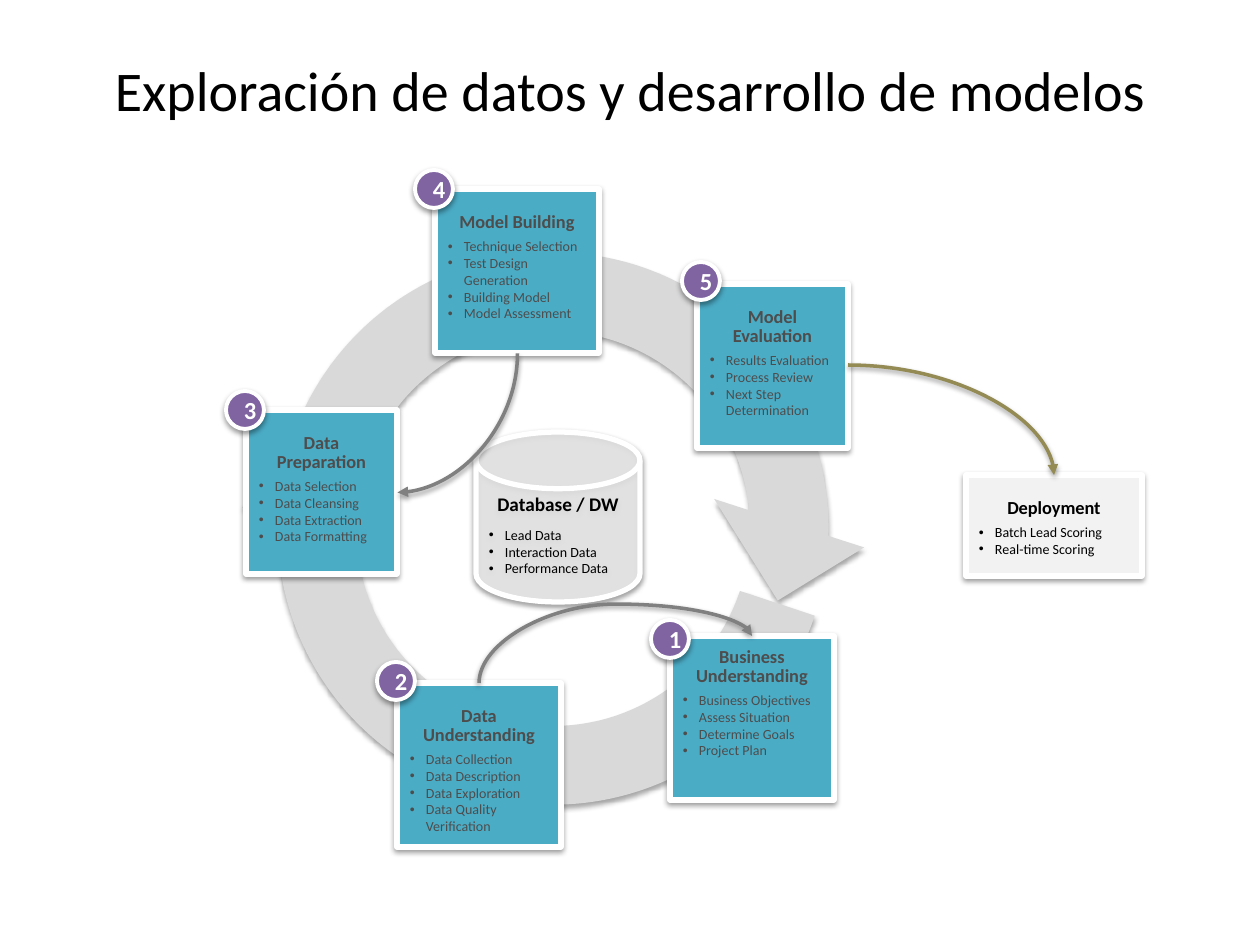
from dataclasses import dataclass

from lxml.etree import SubElement
from pptx import Presentation
from pptx.dml.color import RGBColor
from pptx.enum.shapes import MSO_CONNECTOR as Link, MSO_SHAPE as Shape
from pptx.enum.text import MSO_ANCHOR as Anchor, PP_ALIGN as Align
from pptx.oxml.ns import qn
from pptx.util import Emu, Pt

EMU_PER_PX = 914400 / 126


def px(length):
    return Emu(round(length * EMU_PER_PX))


@dataclass(frozen=True)
class Theme:
    font: str = "Calibri"
    ink: str = "000000"
    white: str = "FFFFFF"
    card: str = "4BACC6"
    card_ink: str = "4D4D4D"
    pale: str = "F2F2F2"
    ring: str = "D9D9D9"
    badge: str = "8064A2"
    link: str = "808080"
    deploy_link: str = "948A54"
    title_size: float = 32
    badge_size: float = 14
    store_size: float = 11
    head_size: float = 10.5
    item_size: float = 8
    border: float = 3
    badge_border: float = 2.25
    link_width: float = 2


class CyclePage:
    def __init__(self, page, theme):
        self.page = page
        self.theme = theme

    def add_shadow(self, shape, alpha=38, distance=1.6):
        properties = shape._element.spPr
        effects = properties.find(qn("a:effectLst"))
        if effects is None:
            effects = SubElement(properties, qn("a:effectLst"))
        shadow = SubElement(effects, qn("a:outerShdw"), blurRad=str(Pt(3.1)),
                            dist=str(Pt(distance)), dir="5400000", rotWithShape="0")
        color = SubElement(shadow, qn("a:srgbClr"), val=self.theme.ink)
        SubElement(color, qn("a:alpha"), val=str(alpha * 1000))

    def shape(self, kind, area, fill, border=None, **shadow):
        box = self.page.shapes.add_shape(kind, *map(px, area))
        box.shadow.inherit = False
        box.fill.solid()
        box.fill.fore_color.rgb = RGBColor.from_string(fill)
        if border:
            box.line.color.rgb = RGBColor.from_string(self.theme.white)
            box.line.width = Pt(border)
        else:
            box.line.fill.background()
        self.add_shadow(box, **shadow)
        return box

    def add_text(self, para, text, size, color, bold=False, **format_values):
        for name, value in format_values.items():
            setattr(para, name, value)
        span = para.add_run()
        span.text = text
        values = {"name": self.theme.font, "size": Pt(size), "bold": bold}
        for name, value in values.items():
            setattr(span.font, name, value)
        span.font.color.rgb = RGBColor.from_string(color)

    def frame(self, box, anchor, **margins):
        frame = box.text_frame
        frame.word_wrap = True
        frame.vertical_anchor = anchor
        for side, length in margins.items():
            setattr(frame, f"margin_{side}", px(length))
        return frame

    def title(self, text, area):
        box = self.page.shapes.add_textbox(*map(px, area))
        frame = self.frame(box, Anchor.MIDDLE)
        self.add_text(frame.paragraphs[0], text, self.theme.title_size,
                      self.theme.ink, alignment=Align.CENTER)

    def bullets(self, frame, items, color):
        for item in items:
            para = frame.add_paragraph()
            settings = para._p.get_or_add_pPr()
            settings.set("marL", str(px(16)))
            settings.set("indent", str(px(-16)))
            SubElement(settings, qn("a:buFont"), typeface="Arial")
            SubElement(settings, qn("a:buChar"), char="•")
            self.add_text(para, item, self.theme.item_size, color, alignment=Align.LEFT)

    def card(self, heading, items, area, fill, color, top=25):
        box = self.shape(Shape.RECTANGLE, area, fill, self.theme.border)
        frame = self.frame(box, Anchor.TOP, left=13, top=top, right=13, bottom=6)
        self.add_text(frame.paragraphs[0], heading, self.theme.head_size, color, bold=True,
                      alignment=Align.CENTER, line_spacing=0.85, space_after=Pt(3))
        self.bullets(frame, items, color)

    def database(self, heading, items, area):
        theme = self.theme
        box = self.shape(Shape.FLOWCHART_MAGNETIC_DISK, area, theme.pale, theme.border)
        color = box._element.spPr.find(qn("a:solidFill"))[0]
        SubElement(color, qn("a:alpha"), val="70000")
        frame = self.frame(box, Anchor.MIDDLE, left=13, top=13, right=13, bottom=6)
        self.add_text(frame.paragraphs[0], heading, theme.store_size, theme.ink, bold=True,
                      alignment=Align.CENTER, space_after=Pt(6))
        self.bullets(frame, items, theme.ink)

    def ring_half(self, area, rotation):
        arrow = self.shape(Shape.CIRCULAR_ARROW, area, self.theme.ring,
                           alpha=35, distance=1.8)
        arrow.rotation = rotation

    def badge(self, number, left, top):
        theme = self.theme
        box = self.shape(Shape.OVAL, (left, top, 38, 38), theme.badge, theme.badge_border)
        frame = self.frame(box, Anchor.MIDDLE)
        self.add_text(frame.paragraphs[0], str(number), theme.badge_size, theme.white,
                      bold=True, alignment=Align.CENTER)

    def curve(self, begin, end, color, preset="curvedConnector2", rotation=0, bend=None):
        """Draw a curved arrow; begin and end are corners before rotation."""
        line = self.page.shapes.add_connector(Link.CURVE, *map(px, begin + end))
        line.line.color.rgb = RGBColor.from_string(color)
        line.line.width = Pt(self.theme.link_width)
        properties = line._element.spPr
        properties.find(qn("a:xfrm")).set("rot", str(rotation * 60000))
        geometry = properties.find(qn("a:prstGeom"))
        geometry.set("prst", preset)
        if bend is not None:
            SubElement(geometry.find(qn("a:avLst")), qn("a:gd"),
                       name="adj1", fmla=f"val {round(bend * 100000)}")
        SubElement(properties.find(qn("a:ln")), qn("a:tailEnd"), type="triangle")
        self.add_shadow(line)


# heading, items, card area, top inset, badge corner
STEPS = [
    ("Business Understanding",
     ["Business Objectives", "Assess Situation", "Determine Goals", "Project Plan"],
     (670, 636, 164, 164), 13, (651, 620)),
    ("Data Understanding",
     ["Data Collection", "Data Description", "Data Exploration",
      "Data Quality Verification"],
     (397, 683, 164, 164), 25, (377, 662)),
    ("Data Preparation",
     ["Data Selection", "Data Cleansing", "Data Extraction", "Data Formatting"],
     (246, 410, 151, 164), 25, (226, 391)),
    ("Model Building",
     ["Technique Selection", "Test Design Generation", "Building Model",
      "Model Assessment"],
     (435, 189, 164, 164), 25, (415, 170)),
    ("Model Evaluation",
     ["Results Evaluation", "Process Review", "Next Step Determination"],
     (697, 284, 151, 164), 25, (682, 262)),
]


def main():
    theme = Theme()
    deck = Presentation()
    deck.slide_width, deck.slide_height = px(1260), px(945)
    cycle = CyclePage(deck.slides.add_slide(deck.slide_layouts[6]), theme)

    cycle.title("Exploración de datos y desarrollo de modelos", (32, 10, 1197, 158))
    cycle.database("Database / DW", ["Lead Data", "Interaction Data", "Performance Data"],
                   (476, 432, 164, 170))
    for top, rotation in ((213, 17.9), (214, 198.3)):
        cycle.ring_half((238, top, 630, 630), rotation)
    for heading, items, area, inset, _ in STEPS:
        cycle.card(heading, items, area, theme.card, theme.card_ink, inset)
    cycle.card("Deployment", ["Batch Lead Scoring", "Real-time Scoring"],
               (966, 475, 176, 101), theme.pale, theme.ink)

    cycle.curve((388, 363), (527, 483), theme.link, rotation=90)
    cycle.curve((639, 796), (592, 523), theme.link, "curvedConnector3", 90, bend=1.68)
    for number, (*_, corner) in enumerate(STEPS, 1):
        cycle.badge(number, *corner)
    cycle.curve((848, 365), (1054, 475), theme.deploy_link)

    deck.save("out.pptx")


if __name__ == "__main__":
    main()
